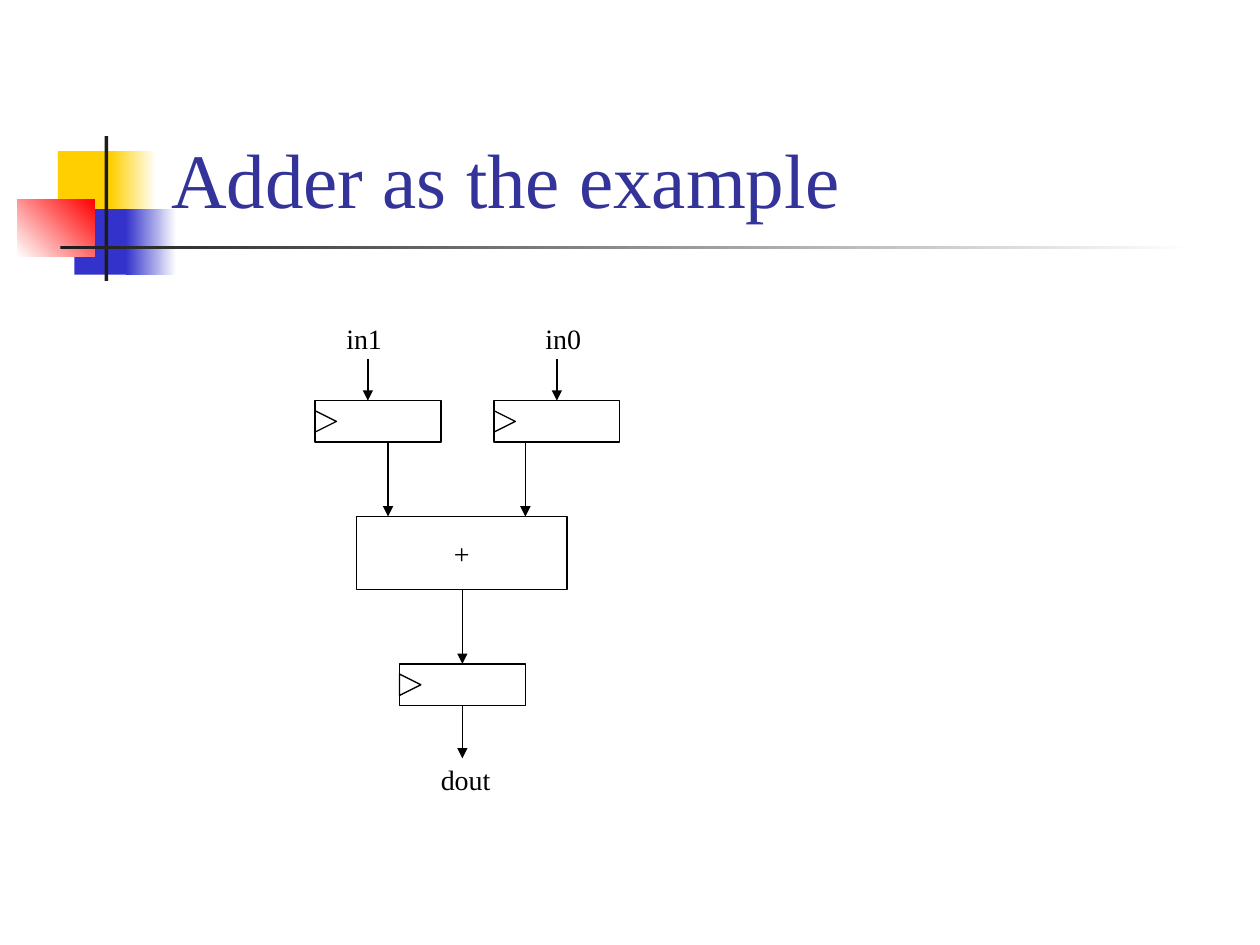
"""Build the slide that shows an adder with registered inputs and output."""
from dataclasses import dataclass
from typing import Any, Optional

import pptx
import pptx.dml.color
import pptx.enum.shapes
import pptx.enum.text
import pptx.oxml
import pptx.oxml.ns
import pptx.util

Inches = pptx.util.Inches
Shape = pptx.enum.shapes.MSO_SHAPE
Align = pptx.enum.text.PP_ALIGN
Anchor = pptx.enum.text.MSO_ANCHOR
AutoSize = pptx.enum.text.MSO_AUTO_SIZE

FONT = "Times New Roman"
BLACK, WHITE = "000000", "FFFFFF"
YELLOW, BLUE, RED, CHARCOAL = "FFCF01", "3333CC", "FF0000", "1C1C1C"
TITLE_FORMAT = {"name": FONT, "size": pptx.util.Pt(44)}
LABEL_FORMAT = {"name": FONT, "size": pptx.util.Pt(16)}
REGISTER_WIDTH, REGISTER_HEIGHT = 1, 0.33
CLOCK_SIZE = 0.17


@dataclass(frozen=True)
class Box:
    left: float
    top: float
    width: float
    height: float

    def lengths(self) -> tuple:
        return tuple(Inches(v) for v in (self.left, self.top, self.width, self.height))


@dataclass(frozen=True)
class Ornament:
    box: Box
    start: str
    end: Optional[str] = None
    angle: float = 0


@dataclass(frozen=True)
class Arrow:
    x: float
    top: float
    bottom: float


@dataclass(frozen=True)
class Label:
    text: str
    box: Box


ORNAMENTS = (
    Ornament(Box(0.46, 1.2, 0.48, 0.52), YELLOW),
    Ornament(Box(0.88, 1.2, 0.36, 0.52), YELLOW, WHITE),
    Ornament(Box(0.59, 1.66, 0.46, 0.52), BLUE),
    Ornament(Box(1, 1.66, 0.4, 0.52), BLUE, WHITE),
    Ornament(Box(0.14, 1.58, 0.61, 0.46), WHITE, RED, 45),
    Ornament(Box(0.83, 1.08, 0.03, 1.15), CHARCOAL),
    Ornament(Box(0.48, 1.95, 9, 0.03), CHARCOAL, WHITE),
)
REGISTERS = ((2.5, 3.18), (3.92, 3.18), (3.17, 5.27))
ADDER = Box(2.83, 4.1, 1.67, 0.58)
ARROWS = (
    Arrow(3.08, 3.52, 4.1),
    Arrow(4.17, 3.52, 4.1),
    Arrow(3.67, 4.68, 5.27),
    Arrow(3.67, 5.6, 6.02),
    Arrow(2.92, 2.85, 3.18),
    Arrow(4.42, 2.85, 3.18),
)
LABELS = (
    Label("in1", Box(2.65, 2.5, 0.49, 0.37)),
    Label("in0", Box(4.23, 2.5, 0.49, 0.37)),
    Label("dout", Box(3.4, 6, 0.6, 0.37)),
)


def color(value: str) -> pptx.dml.color.RGBColor:
    return pptx.dml.color.RGBColor.from_string(value)


def write(frame: Any, text: str, font_format: dict, ink: str, **frame_format: Any) -> None:
    for attribute, value in frame_format.items():
        setattr(frame, attribute, value)
    run = frame.paragraphs[0].add_run()
    run.text = text
    for attribute, value in font_format.items():
        setattr(run.font, attribute, value)
    run.font.color.rgb = color(ink)


def draw_ornament(slide: Any, ornament: Ornament) -> None:
    block = slide.shapes.add_shape(Shape.RECTANGLE, *ornament.box.lengths())
    block.shadow.inherit = False
    block.line.fill.background()
    if ornament.end is None:
        block.fill.solid()
        block.fill.fore_color.rgb = color(ornament.start)
        return
    block.fill.gradient()
    block.fill.gradient_angle = ornament.angle
    for stop, shade, position in zip(
        block.fill.gradient_stops, (ornament.start, ornament.end), (0, 1)
    ):
        stop.color.rgb = color(shade)
        stop.position = position


def draw_outline(slide: Any, kind: Any, box: Box, rotation: float = 0) -> Any:
    outline = slide.shapes.add_shape(kind, *box.lengths())
    outline.shadow.inherit = False
    outline.rotation = rotation
    outline.fill.background()
    outline.line.color.rgb = color(BLACK)
    outline.line.width = pptx.util.Pt(0.75)
    return outline


def draw_register(slide: Any, left: float, top: float) -> None:
    draw_outline(slide, Shape.RECTANGLE, Box(left, top, REGISTER_WIDTH, REGISTER_HEIGHT))
    clock_top = top + (REGISTER_HEIGHT - CLOCK_SIZE) / 2
    clock = Box(left, clock_top, CLOCK_SIZE, CLOCK_SIZE)
    draw_outline(slide, Shape.ISOSCELES_TRIANGLE, clock, 90)


def draw_adder(slide: Any) -> None:
    adder = draw_outline(slide, Shape.RECTANGLE, ADDER)
    write(adder.text_frame, "+", LABEL_FORMAT, BLACK,
          word_wrap=False, vertical_anchor=Anchor.MIDDLE)
    adder.text_frame.paragraphs[0].alignment = Align.CENTER


def draw_arrow(slide: Any, arrow: Arrow) -> None:
    x = Inches(arrow.x)
    signal = slide.shapes.add_connector(
        pptx.enum.shapes.MSO_CONNECTOR.STRAIGHT,
        x, Inches(arrow.top), x, Inches(arrow.bottom),
    )
    signal.line.color.rgb = color(BLACK)
    signal.line.width = pptx.util.Pt(0.75)
    namespace = pptx.oxml.ns.nsdecls("a")
    signal.line._get_or_add_ln().append(
        pptx.oxml.parse_xml(f'<a:tailEnd {namespace} type="triangle"/>')
    )
    signal._element.spPr.append(pptx.oxml.parse_xml(f"<a:effectLst {namespace}/>"))


def draw_label(slide: Any, label: Label) -> None:
    caption = slide.shapes.add_textbox(*label.box.lengths())
    write(caption.text_frame, label.text, LABEL_FORMAT, BLACK,
          word_wrap=False, auto_size=AutoSize.SHAPE_TO_FIT_TEXT)


def main() -> None:
    deck = pptx.Presentation()
    deck.slide_width, deck.slide_height = Inches(10), Inches(7.5)
    slide = deck.slides.add_slide(deck.slide_layouts[6])
    for ornament in ORNAMENTS:
        draw_ornament(slide, ornament)
    title = slide.shapes.add_textbox(*Box(1.26, 0.23, 8.52, 1.6).lengths())
    write(title.text_frame, "Adder as the example", TITLE_FORMAT, "333399",
          word_wrap=True, vertical_anchor=Anchor.BOTTOM)
    for left, top in REGISTERS:
        draw_register(slide, left, top)
    draw_adder(slide)
    for arrow in ARROWS:
        draw_arrow(slide, arrow)
    for label in LABELS:
        draw_label(slide, label)
    deck.save("out.pptx")


if __name__ == "__main__":
    main()
